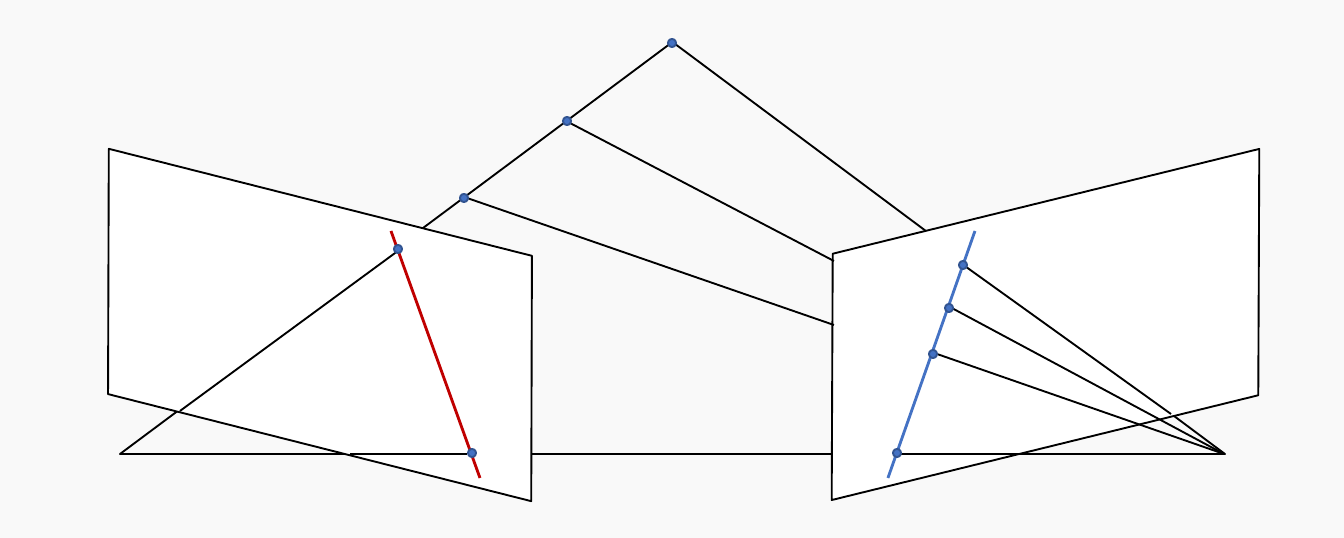
"""Draw two image planes with matching epipolar lines and points."""
from pptx import Presentation
from pptx import util as u
from pptx.dml.color import RGBColor
from pptx.enum import shapes as s
from pptx.oxml.ns import qn
from lxml import etree

PX = 914400 / 136.6
PAPER = RGBColor(0xF9, 0xF9, 0xF9)
WHITE = RGBColor(0xFF, 0xFF, 0xFF)
BLACK = RGBColor(0, 0, 0)
RED = RGBColor(0xC0, 0, 0)
BLUE = RGBColor(0x44, 0x72, 0xC4)
NAVY = RGBColor(0x32, 0x54, 0x91)
DOT = 8


def emu(*sizes):
    return [round(size * PX) for size in sizes]


def draw(kind, box, fill=None, edge=BLACK):
    form = slide.shapes.add_shape(kind, *emu(*box))
    form.shadow.inherit = False
    if fill is None:
        form.fill.background()
    else:
        form.fill.solid()
        form.fill.fore_color.rgb = fill
    form.line.color.rgb = edge
    form.line.width = u.Pt(1)
    return form


deck = Presentation()
deck.slide_width, deck.slide_height = emu(1344, 538)
slide = deck.slides.add_slide(deck.slide_layouts[6])
slide.background.fill.solid()
slide.background.fill.fore_color.rgb = PAPER

draw(s.MSO_SHAPE.ISOSCELES_TRIANGLE, (120, 42, 1105, 412))
right = draw(s.MSO_SHAPE.PARALLELOGRAM, (796, 205, 499, 239), WHITE)
right.rotation = 346.2
left = draw(s.MSO_SHAPE.PARALLELOGRAM, (72, 206, 496, 238), WHITE)
left.rotation = 194.2
left._element.spPr.find(qn("a:xfrm")).set("flipH", "1")

lines = [
    (180, 411, 402, 248, BLACK, 1),
    (350, 454, 467, 454, BLACK, 1),
    (391, 231, 480, 478, RED, 1.5),
    (1171, 414, 962, 264, BLACK, 1),
    (975, 231, 888, 478, BLUE, 1.5),
    (1022, 454, 893, 454, BLACK, 1),
    (834, 325, 467, 198, BLACK, 1),
    (1224, 454, 937, 354, BLACK, 1),
    (834, 261, 570, 123, BLACK, 1),
    (1224, 454, 948, 306, BLACK, 1),
]
for *ends, tint, width in lines:
    ray = slide.shapes.add_connector(s.MSO_CONNECTOR.STRAIGHT, *emu(*ends))
    ray.line.color.rgb = tint
    ray.line.width = u.Pt(width)
    etree.SubElement(ray._element.spPr, qn("a:effectLst"))

points = [
    (464, 198), (398, 249), (567, 121), (672, 43), (472, 453),
    (897, 453), (933, 354), (949, 308), (963, 265),
]
for x, y in points:
    draw(s.MSO_SHAPE.OVAL, (x - DOT / 2, y - DOT / 2, DOT, DOT), BLUE, NAVY)

deck.save("out.pptx")
